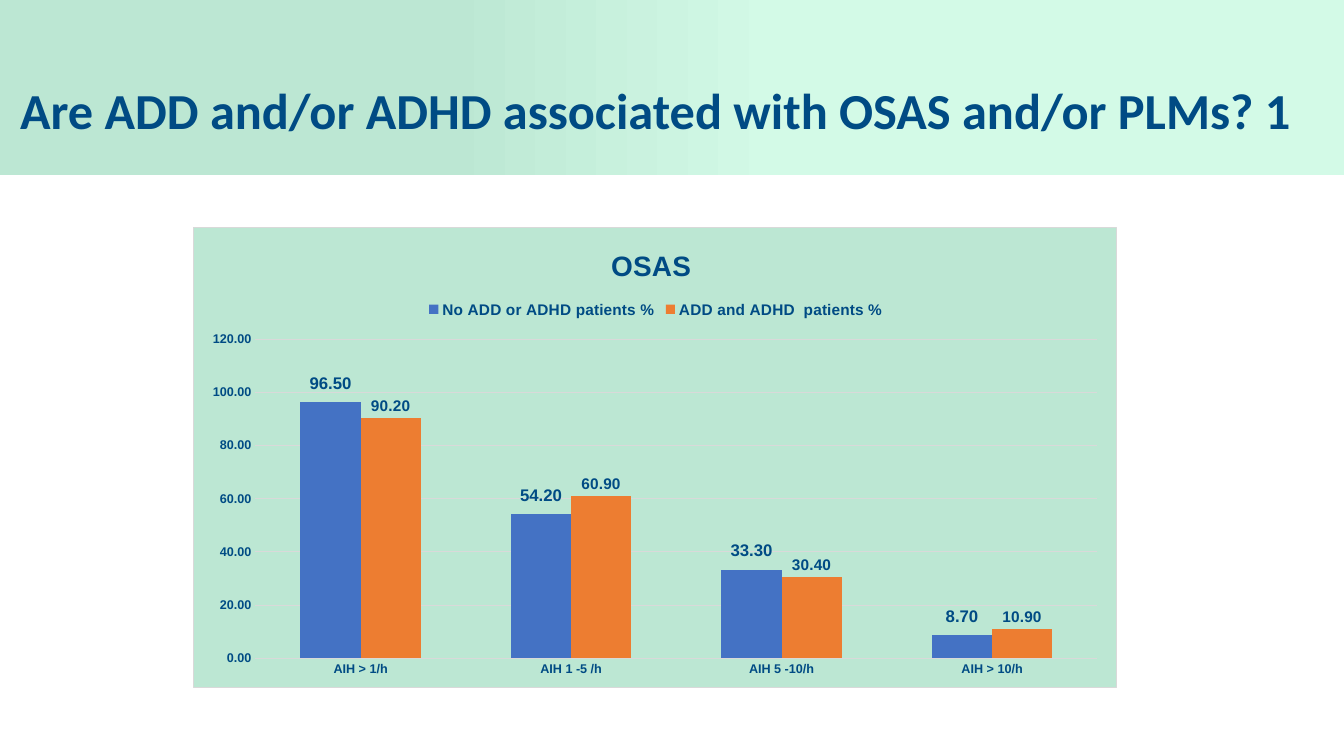
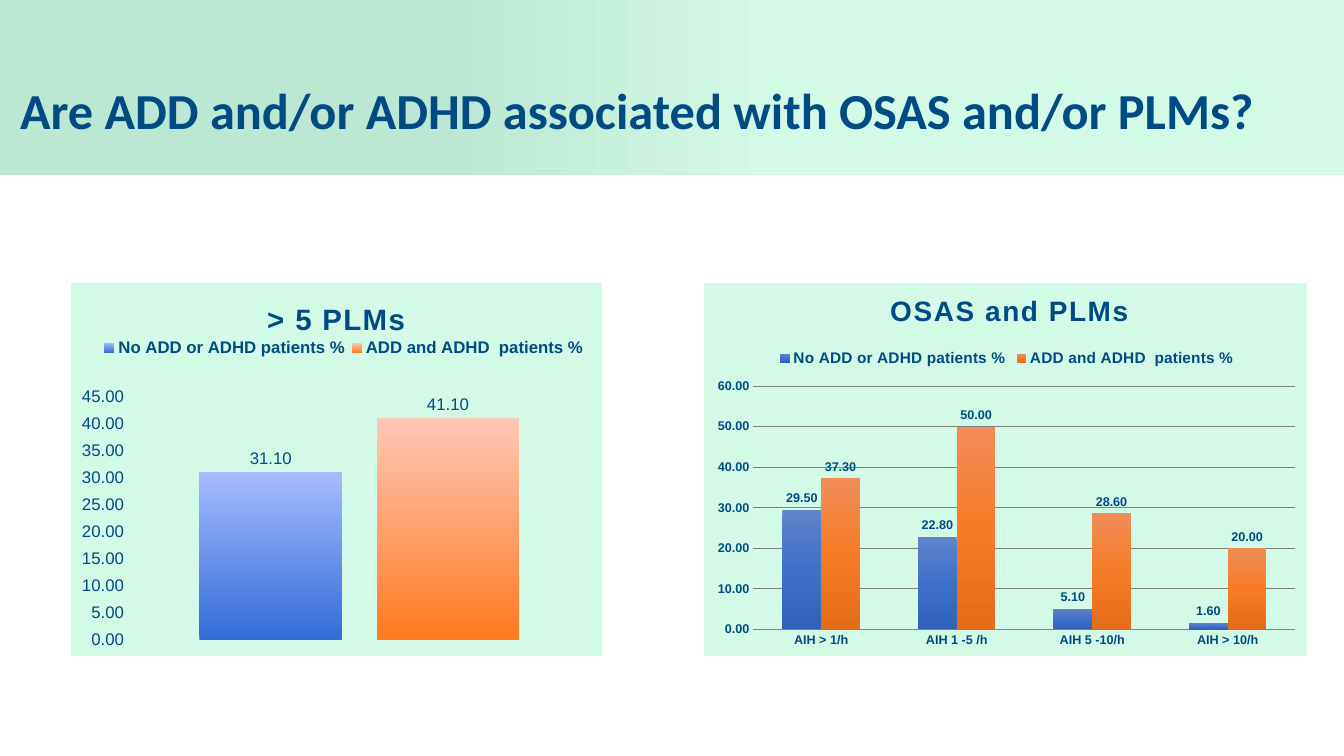
"""Build two slides of column charts on ADD/ADHD, OSAS and PLMs."""
from lxml.etree import SubElement
from pptx import Presentation
from pptx.chart.data import CategoryChartData
from pptx.dml.color import RGBColor
from pptx.enum.chart import XL_CHART_TYPE, XL_LABEL_POSITION, XL_LEGEND_POSITION, XL_TICK_MARK
from pptx.enum.shapes import MSO_SHAPE
from pptx.enum.text import MSO_ANCHOR, MSO_AUTO_SIZE, PP_ALIGN
from pptx.oxml import parse_xml
from pptx.oxml.ns import nsdecls, qn
from pptx.util import Emu, Pt

PX = 914400 / 100.8
COLORS = {
    "navy": "004B84", "mint": "BCE7D3", "pale": "D3FAE7",
    "silver": "D9D9D9", "gray": "808080", "fog": "F2F2F2",
    "blue": "4472C4", "orange": "ED7D31",
}
NAVY = RGBColor.from_string(COLORS["navy"])
BAND = [(33, COLORS["mint"]), (58, COLORS["pale"])]
SERIES = ["No ADD or ADHD patients %", "ADD and ADHD  patients %"]
AIH = ["AIH > 1/h", "AIH 1 -5 /h", "AIH 5 -10/h", "AIH > 10/h"]

SLIDES = [
    ("Are ADD and/or ADHD associated with OSAS and/or PLMs? 1", [
        dict(title="OSAS", title_size=20, spacing=0, box=(193, 227, 924, 461),
             title_at=(606, 242), legend=(423, 299, 466, 20), plot=(255, 339, 843, 320),
             cats=AIH, values=[(96.5, 54.2, 33.3, 8.7), (90.2, 60.9, 30.4, 10.9)],
             fills=[COLORS["blue"], COLORS["orange"]], angle=0,
             label_sizes=(12, 11), label_bold=True, lifts=(5, 6, 6, 6),
             axis_size=9, axis_bold=True, legend_size=11, top=120, step=20,
             gap=150, overlap=0, fill="mint", border="silver", grid="silver", opacity=100),
    ]),
    ("Are ADD and/or ADHD associated with OSAS and/or PLMs?", [
        dict(title="OSAS and PLMs", title_size=20, spacing=100, box=(704, 283, 603, 373),
             title_at=(885, 287), legend=(774, 348, 466, 20), plot=(753, 386, 543, 244),
             cats=AIH, values=[(29.5, 22.8, 5.1, 1.6), (37.3, 50, 28.6, 20)],
             fills=[[(0, "6183CB"), (50, "3E70CA"), (100, "3062BB")],
                    [(0, "F18C57"), (50, "F67B28"), (100, "E56C19")]], angle=270,
             label_sizes=(9, 9), label_bold=True, lifts=(),
             axis_size=9, axis_bold=True, legend_size=11, top=60, step=10,
             gap=150, overlap=0, fill="pale", border="pale", grid="gray", opacity=100),
        dict(title="> 5 PLMs", title_size=21, spacing=100, box=(71, 283, 531, 373),
             title_at=(262, 295), legend=(98, 338, 492, 20), plot=(128, 397, 463, 243),
             cats=["1"], values=[(31.1,), (41.1,)],
             fills=[[(0, "316DD7"), (100, "A6BBFF")],
                    [(0, "FF7A1F"), (100, "FFC7B6")]], angle=90,
             label_sizes=(12, 12), label_bold=False, lifts=(),
             axis_size=12, axis_bold=False, legend_size=12, top=45, step=5,
             gap=100, overlap=-24, fill="pale", border=None, grid="fog", opacity=10),
    ]),
]


def set_gradient(fill, el, stops, angle):
    fill.gradient()
    fill.gradient_angle = angle
    gs_lst = next(el.iter(qn("a:gsLst")))
    gs_lst.clear()
    for pos, color in stops:
        gs = SubElement(gs_lst, qn("a:gs"), pos=str(pos * 1000))
        SubElement(gs, qn("a:srgbClr"), val=color)


def set_layout(el, index, **values):
    for old in el.findall(qn("c:layout")):
        el.remove(old)
    layout = parse_xml(f"<c:layout {nsdecls('c')}><c:manualLayout/></c:layout>")
    for tag, val in values.items():
        text = f"{val:.4f}" if isinstance(val, float) else val
        SubElement(layout[0], qn(f"c:{tag}"), val=text)
    el.insert(index, layout)


prs = Presentation()
prs.slide_width, prs.slide_height = Emu(round(1344 * PX)), Emu(round(756 * PX))

for heading, charts in SLIDES:
    s = prs.slides.add_slide(prs.slide_layouts[5])

    band = s.shapes.add_shape(MSO_SHAPE.RECTANGLE, 0, 0, prs.slide_width, round(175 * PX))
    band.shadow.inherit = False
    band.line.fill.background()
    set_gradient(band.fill, band._element, BAND, 0)
    s.shapes._spTree.insert(2, band._element)

    sp = s.shapes.title
    sp.left, sp.top, sp.width, sp.height = [round(n * PX) for n in (10, 40, 1334, 146)]
    tf = sp.text_frame
    tf.text = heading
    tf.word_wrap = True
    tf.auto_size = MSO_AUTO_SIZE.NONE
    tf.vertical_anchor = MSO_ANCHOR.MIDDLE
    p = tf.paragraphs[0]
    p.alignment = PP_ALIGN.LEFT
    p.line_spacing = 0.9
    font = p.runs[0].font
    font.name, font.size, font.bold = "Calibri", Pt(36), True
    font.color.rgb = NAVY

    for c in charts:
        left, top, width, height = c["box"]
        data = CategoryChartData(number_format="0.00")
        data.categories = c["cats"]
        for name, values in zip(SERIES, c["values"]):
            data.add_series(name, values)
        chart = s.shapes.add_chart(XL_CHART_TYPE.COLUMN_CLUSTERED,
                                   *[round(n * PX) for n in c["box"]], data).chart
        chart.font.name, chart.font.size = "Arial", Pt(10)

        border = "<a:noFill/>"
        if c["border"]:
            border = f'<a:solidFill><a:srgbClr val="{COLORS[c["border"]]}"/></a:solidFill>'
        chart._chartSpace.chart.addnext(parse_xml(
            f'<c:spPr {nsdecls("c", "a")}><a:solidFill><a:srgbClr val="{COLORS[c["fill"]]}"/>'
            f'</a:solidFill><a:ln w="9525">{border}</a:ln></c:spPr>'))

        chart.has_title = True
        chart.chart_title.text_frame.text = c["title"]
        r = chart.chart_title.text_frame.paragraphs[0].runs[0]
        r.font._element.set("spc", str(c["spacing"]))
        chart.has_legend = True
        chart.legend.position = XL_LEGEND_POSITION.TOP
        chart.legend.include_in_layout = False

        plot = chart.plots[0]
        plot.vary_by_categories = False
        plot.gap_width, plot.overlap = c["gap"], c["overlap"]
        cat, val = chart.category_axis, chart.value_axis
        fonts = [(r.font, c["title_size"], True),
                 (chart.legend.font, c["legend_size"], True)]
        for axis in (cat, val):
            axis.major_tick_mark = axis.minor_tick_mark = XL_TICK_MARK.NONE
            axis.format.line.fill.background()
            fonts.append((axis.tick_labels.font, c["axis_size"], c["axis_bold"]))
        cat.visible = len(c["cats"]) > 1
        val.minimum_scale, val.maximum_scale, val.major_unit = 0, c["top"], c["step"]
        val.tick_labels.number_format = "0.00"
        val.tick_labels.number_format_is_linked = False
        line = val.major_gridlines.format.line
        line.width = Pt(0.75)
        line.color.rgb = RGBColor.from_string(COLORS[c["grid"]])
        if c["opacity"] < 100:
            grid_color = next(val.major_gridlines._xAx.iter(qn("a:srgbClr")))
            SubElement(grid_color, qn("a:alpha"), val=str(c["opacity"] * 1000))

        for ser, fill, size in zip(plot.series, c["fills"], c["label_sizes"]):
            ser.invert_if_negative = False
            if isinstance(fill, str):
                ser.format.fill.solid()
                ser.format.fill.fore_color.rgb = RGBColor.from_string(fill)
            else:
                set_gradient(ser.format.fill, ser._element, fill, c["angle"])
            labels = ser.data_labels
            labels.show_value = True
            labels.number_format = "0.00"
            labels.number_format_is_linked = False
            labels.position = XL_LABEL_POSITION.OUTSIDE_END
            fonts.append((labels.font, size, c["label_bold"]))

        first = plot.series[0]
        for i, lift in enumerate(c["lifts"]):
            label = first.points[i].data_label
            label.position = XL_LABEL_POSITION.OUTSIDE_END
            fonts.append((label.font, c["label_sizes"][0], c["label_bold"]))
            d_lbl = first._element.findall(".//" + qn("c:dLbl"))[i]
            set_layout(d_lbl, 1, x=0.0, y=-lift / height)

        for font, size, bold in fonts:
            font.name, font.size, font.bold = "Arial", Pt(size), bold
            font.color.rgb = NAVY

        x, y = c["title_at"]
        set_layout(chart.chart_title._element, 1, xMode="edge", yMode="edge",
                   x=(x - left) / width, y=(y - top) / height)
        plot_area = chart._chartSpace.chart.plotArea
        for el, index, box, target in ((chart.legend._element, 1, c["legend"], {}),
                                       (plot_area, 0, c["plot"], {"layoutTarget": "inner"})):
            x, y, w, h = box
            set_layout(el, index, **target, xMode="edge", yMode="edge",
                       x=(x - left) / width, y=(y - top) / height,
                       w=w / width, h=h / height)

prs.save("out.pptx")
